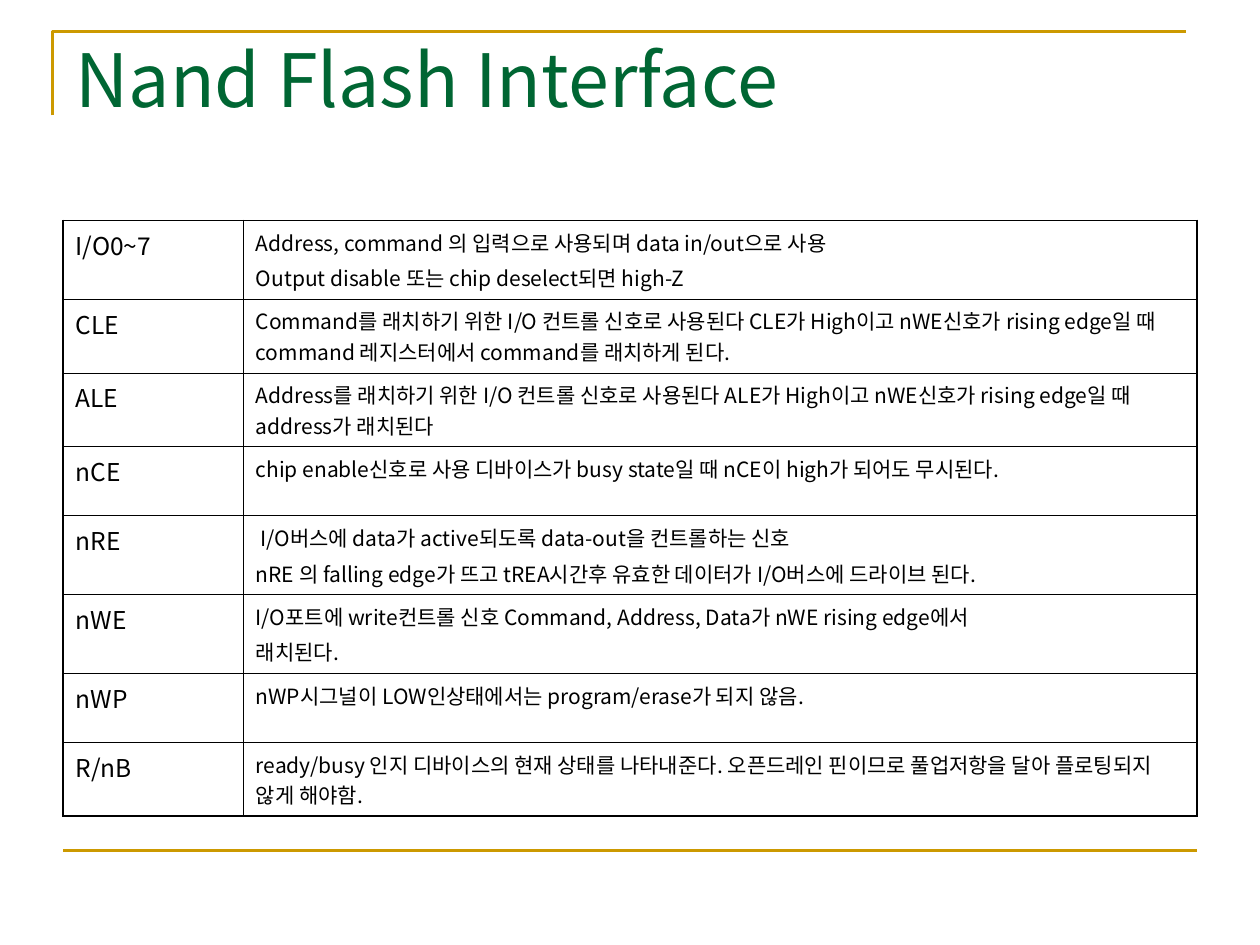
from lxml import etree
from pptx import Presentation
from pptx.dml.color import RGBColor
from pptx.enum.shapes import MSO_CONNECTOR
from pptx.enum.text import MSO_ANCHOR, PP_ALIGN
from pptx.oxml.ns import qn
from pptx.util import Pt

STRAIGHT = MSO_CONNECTOR.STRAIGHT
TOP = MSO_ANCHOR.TOP
LEFT = PP_ALIGN.LEFT
TITLE_ONLY = 5
FONT = "Noto Sans CJK KR"
GOLD, GREEN, BLACK = "CC9900", "006633", "000000"
THICK, THIN = 1.08, 0.45
INDENTED_SIGNAL = "nRE"

SIGNALS = [
    ("I/O0~7", ["Address, command 의 입력으로 사용되며 data in/out으로 사용",
                "Output disable 또는 chip deselect되면 high-Z"]),
    ("CLE", ["Command를 래치하기 위한 I/O 컨트롤 신호로 사용된다 CLE가 High이고 nWE신호가 "
             "rising edge일 때 command 레지스터에서 command를 래치하게 된다."]),
    ("ALE", ["Address를 래치하기 위한 I/O 컨트롤 신호로 사용된다 ALE가 High이고 nWE신호가 "
             "rising edge일 때 address가 래치된다"]),
    ("nCE", ["chip enable신호로 사용 디바이스가 busy state일 때 nCE이 high가 되어도 무시된다."]),
    ("nRE", ["I/O버스에 data가 active되도록 data-out을 컨트롤하는 신호",
             "nRE 의 falling edge가 뜨고 tREA시간후 유효한 데이터가 I/O버스에 드라이브 된다."]),
    ("nWE", ["I/O포트에 write컨트롤 신호 Command, Address, Data가 nWE rising edge에서",
             "래치된다."]),
    ("nWP", ["nWP시그널이 LOW인상태에서는 program/erase가 되지 않음."]),
    ("R/nB", ["ready/busy 인지 디바이스의 현재 상태를 나타내준다. 오픈드레인 핀이므로 "
              "풀업저항을 달아 플로팅되지 않게 해야함."]),
]


def color(hex_code):
    """Return the colour for a hex string."""
    return RGBColor.from_string(hex_code)


def write_text(frame, paragraphs, size, fill=BLACK, gap=0, indent=0, line_spacing=1.0):
    """Write paragraphs into a text frame, with a gap between and a first-line indent."""
    frame.word_wrap = True
    frame.vertical_anchor = TOP
    for index, text in enumerate(paragraphs):
        paragraph = frame.paragraphs[0] if index == 0 else frame.add_paragraph()
        paragraph.alignment = LEFT
        paragraph.line_spacing = line_spacing
        paragraph.space_before = Pt(gap if index else 0)
        if indent and index == 0:
            paragraph._p.get_or_add_pPr().set("indent", str(Pt(indent)))
        run = paragraph.add_run()
        run.text = text
        run.font.name = FONT
        run.font.size = Pt(size)
        run.font.bold = False
        run.font.color.rgb = color(fill)
        etree.SubElement(run._r.get_or_add_rPr(), qn("a:ea"), typeface=FONT)


def style_line(line):
    """Give a line the gold rule style."""
    line.color.rgb = color(GOLD)
    line.width = Pt(1.5)


def add_corner_rule(slide, left, top, width, height):
    """Draw the open corner above and left of the title."""
    builder = slide.shapes.build_freeform(Pt(left), Pt(top + height))
    builder.add_line_segments([(Pt(left), Pt(top)), (Pt(left + width), Pt(top))], close=False)
    corner = builder.convert_to_shape()
    corner.fill.background()
    corner.shadow.inherit = False
    style_line(corner.line)


def add_bottom_rule(slide, left, top, width):
    """Draw the horizontal rule below the table."""
    rule = slide.shapes.add_connector(STRAIGHT, Pt(left), Pt(top), Pt(left + width), Pt(top))
    style_line(rule.line)
    etree.SubElement(rule._element.spPr, qn("a:effectLst"))


def place_title(slide, text, left, top, width, height):
    """Place and format the title placeholder."""
    title = slide.shapes.title
    title.left, title.top, title.width, title.height = map(Pt, (left, top, width, height))
    write_text(title.text_frame, [text], size=42, fill=GREEN, line_spacing=0.9)


def set_borders(cell, widths):
    """Set the cell borders from a mapping of side letter to width."""
    properties = cell._tc.get_or_add_tcPr()
    for index, (side, width) in enumerate(widths.items()):
        border = etree.Element(qn(f"a:ln{side}"), w=str(Pt(width)))
        fill = etree.SubElement(border, qn("a:solidFill"))
        etree.SubElement(fill, qn("a:srgbClr"), val=BLACK)
        properties.insert(index, border)


def add_signal_table(slide, left, top, width, height):
    """Add the table of signals and their descriptions."""
    box = map(Pt, (left, top, width, height))
    table = slide.shapes.add_table(len(SIGNALS), 2, *box).table
    table.first_row = False
    table.horz_banding = False
    name_width = 103
    table.columns[0].width = Pt(name_width)
    table.columns[1].width = Pt(width - name_width)
    last = len(SIGNALS) - 1
    for row, (signal, description) in enumerate(SIGNALS):
        name_cell, description_cell = table.cell(row, 0), table.cell(row, 1)
        write_text(name_cell.text_frame, [signal], size=14)
        write_text(description_cell.text_frame, description, size=12, gap=3,
                   indent=2.7 if signal == INDENTED_SIGNAL else 0)
        for column, cell in enumerate((name_cell, description_cell)):
            cell.vertical_anchor = TOP
            cell.fill.background()
            set_borders(cell, {
                "L": THIN if column else THICK,
                "R": THICK if column else THIN,
                "T": THIN if row else THICK,
                "B": THICK if row == last else THIN,
            })


def main():
    """Build and save the presentation."""
    presentation = Presentation()
    presentation.slide_width, presentation.slide_height = Pt(720), Pt(540)
    slide = presentation.slides.add_slide(presentation.slide_layouts[TITLE_ONLY])
    add_corner_rule(slide, 30, 18, 648, 48)
    add_bottom_rule(slide, 36, 486, 648)
    place_title(slide, "Nand Flash Interface", 36, 21.6, 648, 90)
    add_signal_table(slide, 36, 126, 648, 316.8)
    presentation.save("out.pptx")


if __name__ == "__main__":
    main()
